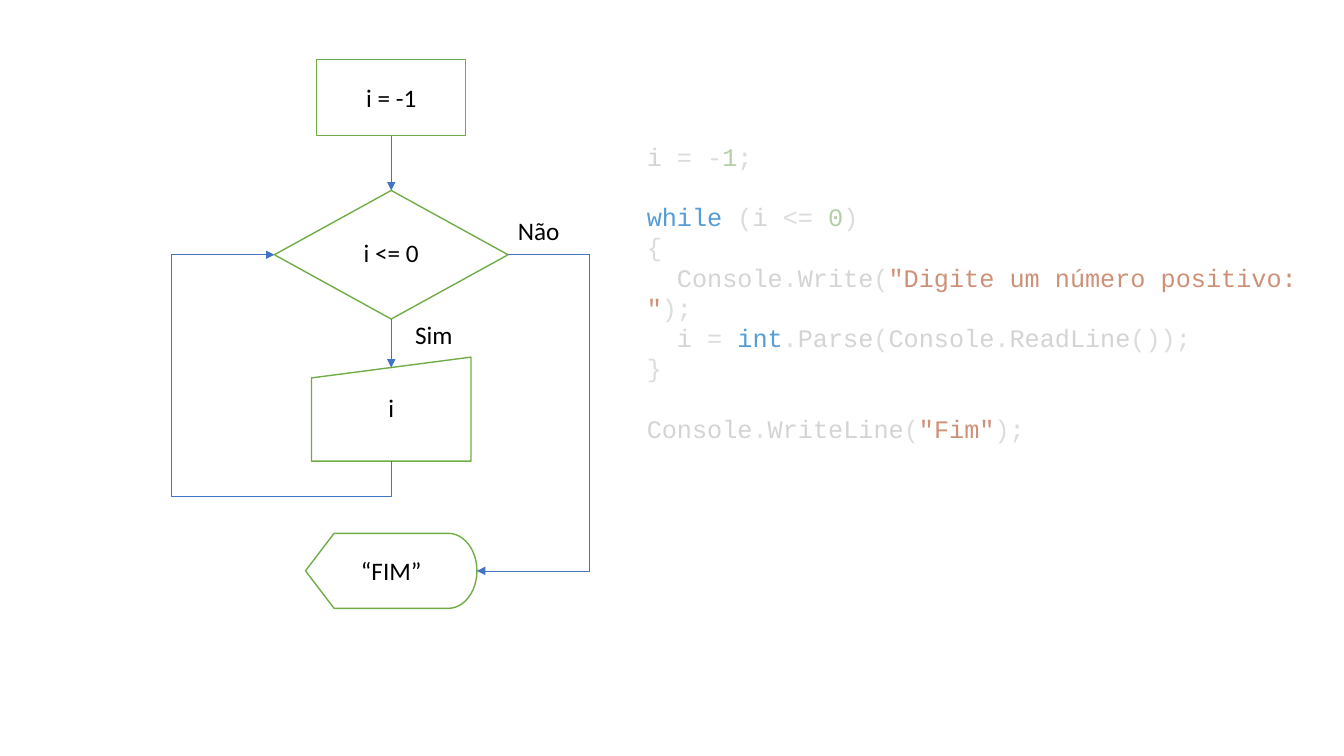
from pptx import Presentation
from pptx.dml.color import RGBColor
from pptx.enum.shapes import MSO_CONNECTOR, MSO_SHAPE
from pptx.enum.text import MSO_ANCHOR, PP_ALIGN
from pptx.oxml.ns import qn
from pptx.util import Cm, Pt
from lxml.etree import SubElement

BLACK = RGBColor(0x00, 0x00, 0x00)
WHITE = RGBColor(0xFF, 0xFF, 0xFF)
GREEN = RGBColor(0x70, 0xAD, 0x47)
BLUE = RGBColor(0x44, 0x72, 0xC4)
NAME = RGBColor(0xD4, 0xD4, 0xD4)
MARK = RGBColor(0xDC, 0xDC, 0xDC)
NUMBER = RGBColor(0xB5, 0xCE, 0xA8)
KEYWORD = RGBColor(0x56, 0x9C, 0xD6)
STRING = RGBColor(0xCE, 0x91, 0x78)

# Flowchart steps: text, outline, top, width, height, bottom inset (cm)
STEPS = [
    ("i = -1", MSO_SHAPE.RECTANGLE, 1.5, 3.76, 1.92, 0),
    ("i <= 0", MSO_SHAPE.FLOWCHART_DECISION, 4.8, 5.89, 3.24, 0.1),
    ("i", MSO_SHAPE.FLOWCHART_MANUAL_INPUT, 9, 4.02, 2.62, 0.6),
    ("“FIM”", MSO_SHAPE.FLOWCHART_DISPLAY, 13.44, 4.32, 1.89, 0),
]
# Branch labels: text, left, top, width (cm)
BRANCHES = [("Não", 12.8, 5.31, 1.96), ("Sim", 10.21, 7.92, 2)]

# Code lines: indented, blank line above, coloured parts
CODE = [
    (False, False, [("i ", NAME), ("= -", MARK), ("1", NUMBER), (";", MARK)]),
    (False, True, [("while ", KEYWORD), ("(", MARK), ("i ", NAME),
                   ("<= ", MARK), ("0", NUMBER), (")", MARK)]),
    (False, False, [("{", MARK)]),
    (True, False, [("Console", NAME), (".", MARK), ("Write", NAME), ("(", MARK),
                   ('"Digite um número positivo: "', STRING), (");", MARK)]),
    (True, False, [("i ", NAME), ("= ", MARK), ("int", KEYWORD), (".", MARK),
                   ("Parse", NAME), ("(", MARK), ("Console", NAME), (".", MARK),
                   ("ReadLine", NAME), ("());", MARK)]),
    (False, False, [("}", MARK)]),
    (False, True, [("Console", NAME), (".", MARK), ("WriteLine", NAME),
                   ("(", MARK), ('"Fim"', STRING), (");", MARK)]),
]

AXIS = Cm(9.86)
LOOP_LEFT, LOOP_BOTTOM = Cm(4.32), Cm(12.5)
EXIT_RIGHT = Cm(14.86)
LINE_PITCH = Pt(21.6)
TOP, LEFT, BOTTOM, RIGHT = range(4)

prs = Presentation()
prs.slide_width, prs.slide_height = Cm(33.87), Cm(19.05)
slide = prs.slides.add_slide(prs.slide_layouts[6])


def add_run(paragraph, text, color, font="Calibri"):
    run = paragraph.add_run()
    run.text = text
    run.font.name, run.font.size = font, Pt(18)
    run.font.color.rgb = color


def add_step(text, outline, top, width, height, inset):
    step = slide.shapes.add_shape(outline, AXIS - Cm(width) // 2, Cm(top),
                                  Cm(width), Cm(height))
    step.shadow.inherit = False
    step.fill.solid()
    step.fill.fore_color.rgb = WHITE
    step.line.color.rgb = GREEN
    step.line.width = Pt(1)
    frame = step.text_frame
    frame.word_wrap = False
    frame.vertical_anchor = MSO_ANCHOR.MIDDLE
    frame.margin_top, frame.margin_bottom = 0, Cm(inset)
    frame.paragraphs[0].alignment = PP_ALIGN.CENTER
    add_run(frame.paragraphs[0], text, BLACK)
    return step


def add_arrow(kind, source, source_site, target, target_site):
    arrow = slide.shapes.add_connector(kind, 0, 0, 0, 0)
    arrow.begin_connect(source, source_site)
    arrow.end_connect(target, target_site)
    arrow.line.color.rgb = BLUE
    arrow.line.width = Pt(0.5)
    SubElement(arrow.line._get_or_add_ln(), qn("a:tailEnd"), type="triangle")
    SubElement(arrow._element.spPr, qn("a:effectLst"))
    return arrow


def bend(arrow, preset, *ratios):
    geometry = arrow._element.spPr.find(qn("a:prstGeom"))
    geometry.set("prst", preset)
    guides = geometry.get_or_add_avLst()
    for number, ratio in enumerate(ratios, 1):
        SubElement(guides, qn("a:gd"), name=f"adj{number}",
                   fmla=f"val {round(ratio * 100000)}")


# Steps and branch labels
start, test, entry, finish = [add_step(*step) for step in STEPS]
for text, left, top, width in BRANCHES:
    label = slide.shapes.add_textbox(Cm(left), Cm(top), Cm(width), Cm(1.02))
    label.text_frame.word_wrap = True
    add_run(label.text_frame.paragraphs[0], text, BLACK)

# Straight arrows; the slanted edge of the entry lies a tenth below its top
add_arrow(MSO_CONNECTOR.STRAIGHT, start, BOTTOM, test, TOP)
yes = add_arrow(MSO_CONNECTOR.STRAIGHT, test, BOTTOM, entry, TOP)
yes.end_y = entry.top + entry.height // 10

# Exit arrow, around the right side
leave = add_arrow(MSO_CONNECTOR.ELBOW, test, RIGHT, finish, RIGHT)
bend(leave, "bentConnector3",
     (EXIT_RIGHT - leave.begin_x) / (leave.end_x - leave.begin_x))

# Loop arrow, around the left side: a quarter turn swaps width and height
loop = add_arrow(MSO_CONNECTOR.ELBOW, entry, BOTTOM, test, LEFT)
rise, run_left = loop.height, loop.width
bend(loop, "bentConnector4", (loop.begin_y - LOOP_BOTTOM) / rise,
     (loop.begin_x - LOOP_LEFT) / run_left)
shift = (rise - run_left) // 2
loop.left, loop.top = loop.left - shift, loop.top + shift
loop.width, loop.height = rise, run_left
turn = loop._element.spPr.find(qn("a:xfrm"))
turn.set("rot", "5400000")
turn.set("flipH", "1")
turn.set("flipV", "0")

# Code
code = slide.shapes.add_textbox(Cm(16.05), Cm(3.43), Cm(17.45), Cm(7.95)).text_frame
code.word_wrap = True
for index, (indented, spaced, parts) in enumerate(CODE):
    line = code.add_paragraph() if index else code.paragraphs[0]
    line.line_spacing = LINE_PITCH
    if spaced:
        line.space_before = LINE_PITCH
    if indented:
        line._p.get_or_add_pPr().set("indent", str(Cm(0.76)))
    for text, color in parts:
        add_run(line, text, color, "Courier New")

prs.save("out.pptx")
